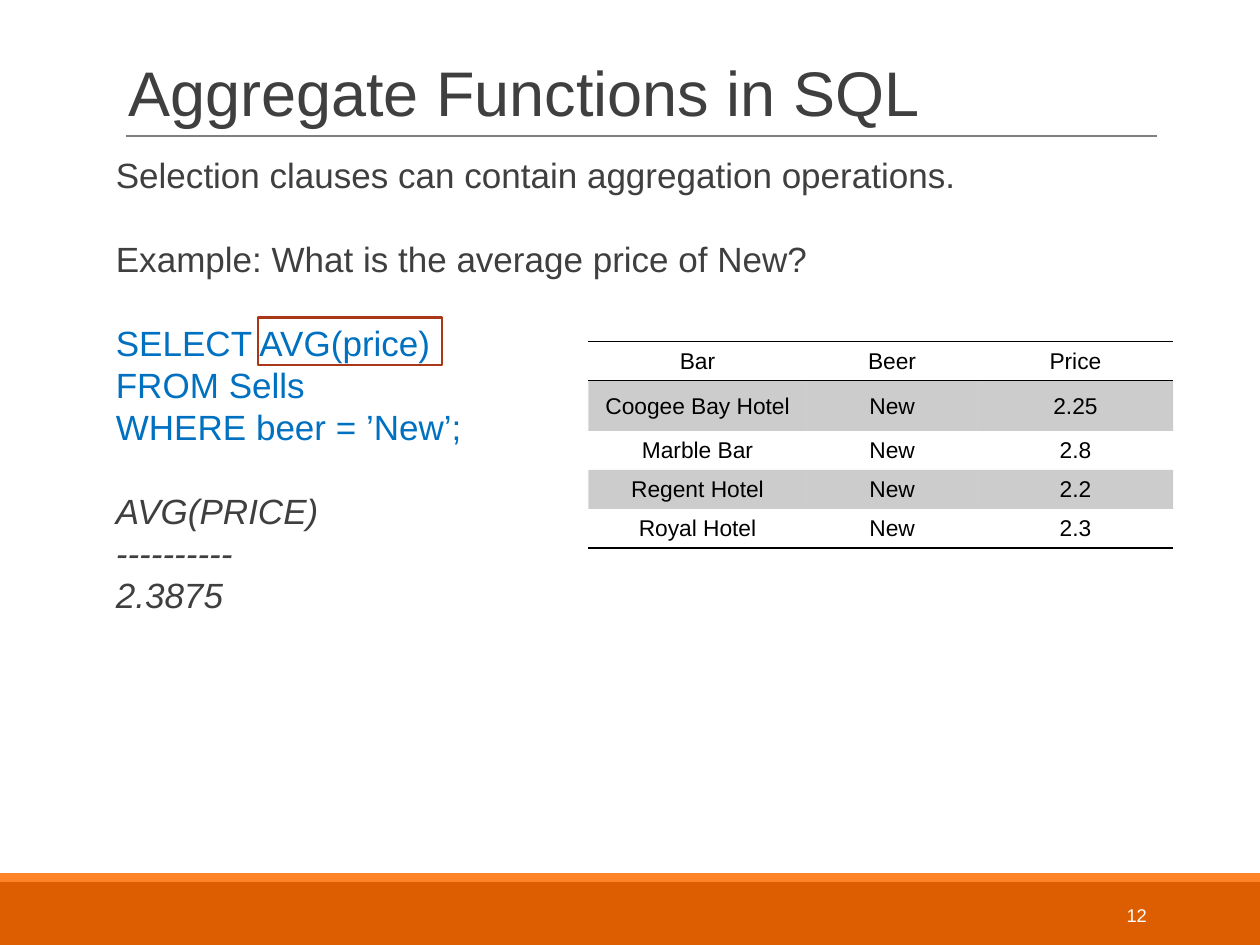
from lxml import etree
from pptx import Presentation
from pptx.dml.color import RGBColor
from pptx.enum.shapes import MSO_CONNECTOR, MSO_SHAPE
from pptx.enum.text import MSO_ANCHOR, PP_ALIGN
from pptx.oxml.ns import qn
from pptx.util import Inches, Pt

RECTANGLE = MSO_SHAPE.RECTANGLE
STRAIGHT = MSO_CONNECTOR.STRAIGHT
TOP, MIDDLE, BOTTOM = MSO_ANCHOR.TOP, MSO_ANCHOR.MIDDLE, MSO_ANCHOR.BOTTOM
LEFT, CENTER, RIGHT = PP_ALIGN.LEFT, PP_ALIGN.CENTER, PP_ALIGN.RIGHT

COLORS = {
    "text": "3F3F3F",
    "code": "0070C0",
    "rule": "7F7F7F",
    "footer": "DC5E00",
    "stripe": "FF8427",
    "highlight": "A93718",
    "black": "000000",
    "white": "FFFFFF",
}


def rgb(name):
    return RGBColor.from_string(COLORS[name])


def write_text(paragraph, text, size=20, color="text", italic=False,
               align=LEFT, spacing=None, before=0):
    paragraph.alignment = align
    paragraph.space_before = Pt(before)
    if spacing:
        paragraph.line_spacing = spacing
    run = paragraph.add_run()
    run.text = text
    run.font.name = "Arial"
    run.font.size = Pt(size)
    run.font.italic = italic
    run.font.color.rgb = rgb(color)


def set_border(cell, index, side, width):
    """Give one side of a cell a black line, or none when width is 0."""
    border = etree.Element(qn(f"a:ln{side}"), w=str(Pt(width)))
    if width:
        fill = etree.SubElement(border, qn("a:solidFill"))
        etree.SubElement(fill, qn("a:srgbClr"), val=COLORS["black"])
    else:
        etree.SubElement(border, qn("a:noFill"))
    cell._tc.get_or_add_tcPr().insert(index, border)


class SlideBuilder:
    def __init__(self, slide):
        self.slide = slide

    def rectangle(self, left, top, width, height, fill=None, line=None):
        shape = self.slide.shapes.add_shape(
            RECTANGLE, Inches(left), Inches(top), Inches(width), Inches(height))
        shape.shadow.inherit = False
        if fill:
            shape.fill.solid()
            shape.fill.fore_color.rgb = rgb(fill)
        else:
            shape.fill.background()
        if line:
            shape.line.color.rgb = rgb(line)
            shape.line.width = Pt(1.25)
        else:
            shape.line.fill.background()

    def rule(self, left, right, top):
        connector = self.slide.shapes.add_connector(
            STRAIGHT, Inches(left), Inches(top), Inches(right), Inches(top))
        connector.line.color.rgb = rgb("rule")
        connector.line.width = Pt(0.75)
        etree.SubElement(connector._element.spPr, qn("a:effectLst"))

    def text(self, left, top, width, height, lines, anchor=TOP, inset=0.1):
        """Each line is a pair of text and format."""
        box = self.slide.shapes.add_textbox(
            Inches(left), Inches(top), Inches(width), Inches(height))
        frame = box.text_frame
        frame.word_wrap = True
        frame.vertical_anchor = anchor
        frame.margin_left = frame.margin_right = Inches(inset)
        for index, (text, style) in enumerate(lines):
            paragraph = frame.add_paragraph() if index else frame.paragraphs[0]
            write_text(paragraph, text, **style)

    def table(self, left, top, widths, heights, rows):
        table = self.slide.shapes.add_table(
            len(rows), len(widths), Inches(left), Inches(top),
            Inches(sum(widths)), Inches(sum(heights))).table
        table.first_row = table.horz_banding = False
        for column, width in zip(table.columns, widths):
            column.width = Inches(width)
        for row, height in zip(table.rows, heights):
            row.height = Inches(height)
        last = len(rows) - 1
        for row_index, values in enumerate(rows):
            lines = {"L": 0, "R": 0, "T": int(row_index in (0, 1)),
                     "B": int(row_index in (0, last))}
            for column_index, value in enumerate(values):
                cell = table.cell(row_index, column_index)
                self.fill_cell(cell, value, row_index % 2 == 1)
                for index, (side, width) in enumerate(lines.items()):
                    set_border(cell, index, side, width)

    def fill_cell(self, cell, value, shaded):
        cell.vertical_anchor = MIDDLE
        cell.margin_left = cell.margin_right = cell.margin_top = Inches(0.01)
        cell.margin_bottom = 0
        write_text(cell.text_frame.paragraphs[0], value, size=13,
                   color="black", align=CENTER)
        if shaded:
            cell.fill.solid()
            cell.fill.fore_color.rgb = rgb("black")
            color = cell._tc.get_or_add_tcPr().find(".//" + qn("a:srgbClr"))
            etree.SubElement(color, qn("a:alpha"), val="20000")
        else:
            cell.fill.background()


def main():
    presentation = Presentation()
    presentation.slide_width, presentation.slide_height = Inches(10), Inches(7.5)
    builder = SlideBuilder(
        presentation.slides.add_slide(presentation.slide_layouts[6]))

    # Footer bands and title rule
    builder.rectangle(0, 7, 10, 0.5, fill="footer")
    builder.rectangle(0, 6.93, 10, 0.07, fill="stripe")
    builder.rule(1, 9.18, 1.08)

    # Title
    builder.text(0.92, 0.31, 8.17, 0.77, [
        ("Aggregate Functions in SQL", {"size": 36, "spacing": 0.85})],
        anchor=BOTTOM)

    # Explanation, query and result, one blank line apart
    pitch = Pt(24)
    groups = [
        (["Selection clauses can contain aggregation operations."], {}),
        (["Example: What is the average price of New?"], {}),
        (["SELECT AVG(price)", "FROM Sells", "WHERE beer = ’New’;"],
         {"color": "code"}),
        (["AVG(PRICE)", "----------", "2.3875"], {"italic": True}),
    ]
    lines = []
    for texts, style in groups:
        for index, text in enumerate(texts):
            gap = 24 if lines and index == 0 else 0
            lines.append((text, {**style, "spacing": pitch, "before": gap}))
    builder.text(0.92, 1.17, 8.17, 5.25, lines, inset=0)

    # Slide number
    builder.text(8.12, 7.06, 1.08, 0.4, [
        ("12", {"size": 10.5, "color": "white", "align": RIGHT})],
        anchor=MIDDLE)

    # Beer prices
    builder.table(4.67, 2.71, [1.73, 1.36, 1.55], [0.31, 0.4, 0.31, 0.31, 0.31], [
        ("Bar", "Beer", "Price"),
        ("Coogee Bay Hotel", "New", "2.25"),
        ("Marble Bar", "New", "2.8"),
        ("Regent Hotel", "New", "2.2"),
        ("Royal Hotel", "New", "2.3"),
    ])

    # Frame around the aggregate function
    builder.rectangle(2.05, 2.52, 1.46, 0.38, line="highlight")

    presentation.save("out.pptx")


if __name__ == "__main__":
    main()
